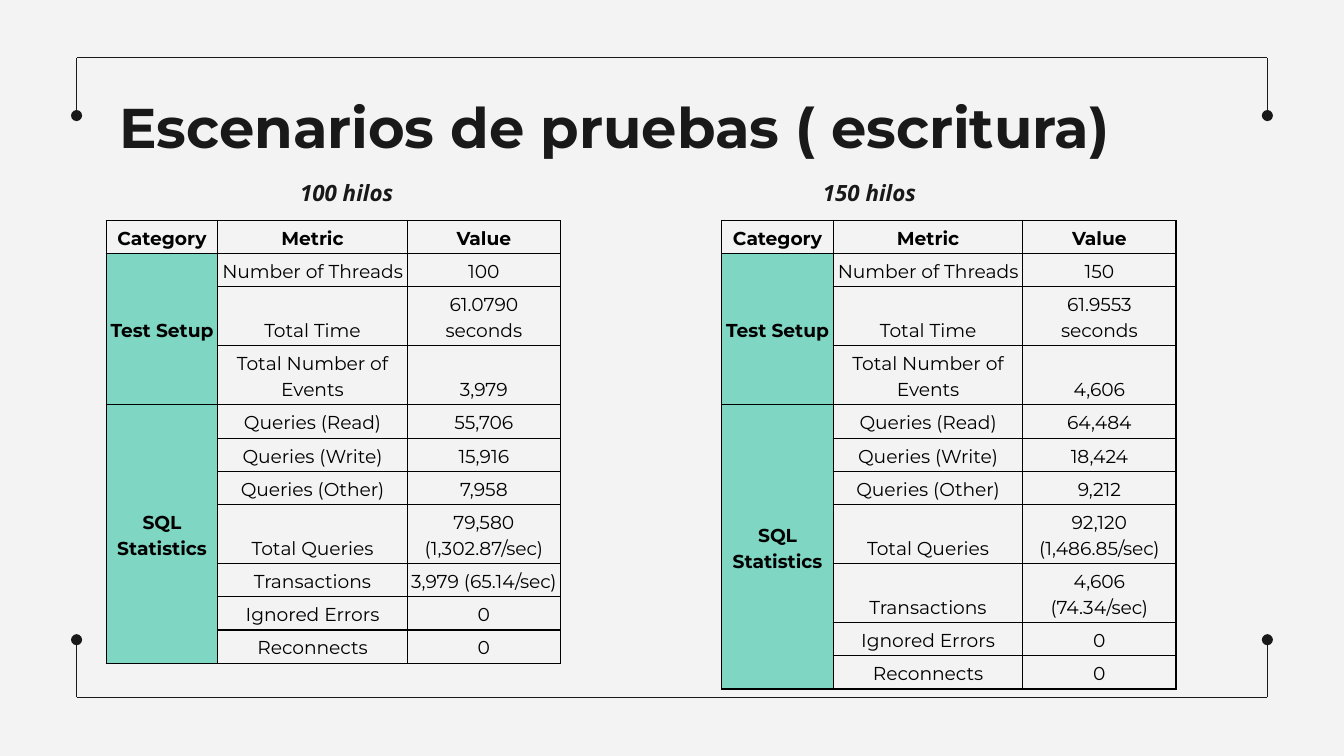
from dataclasses import dataclass

from lxml.etree import SubElement
from pptx import Presentation
from pptx.dml.color import RGBColor
from pptx.enum.shapes import MSO_CONNECTOR
from pptx.enum.text import MSO_ANCHOR, PP_ALIGN
from pptx.oxml.ns import qn
from pptx.util import Inches, Pt

INK = "191919"
BLACK = "000000"
MINT = "7FD6C3"
PAPER = "F3F3F3"
LINE_WIDTH = Pt(0.75)
PAGE_WIDTH = 10
PAGE_HEIGHT = PAGE_WIDTH * 9 / 16
MARGINS = ("margin_left", "margin_top", "margin_right", "margin_bottom")
BOX_MARGIN = 0.1
CELL_MARGIN = 2 / 72
COLUMN_WIDTHS = (0.83, 1.41, 1.14)
ROW_HEIGHT = 0.22
TABLE_TOP = 1.64
TABLE_HEIGHT = 3.28
HEADER = ("Category", "Metric", "Value")
METRICS = (
    "Number of Threads", "Total Time", "Total Number of Events",
    "Queries (Read)", "Queries (Write)", "Queries (Other)", "Total Queries",
    "Transactions", "Ignored Errors", "Reconnects",
)
CATEGORIES = (("Test Setup", 1, 3), ("SQL Statistics", 4, 10))

TITLE_FORMAT = {"name": "Montserrat", "size": Pt(30), "bold": True}
CAPTION_FORMAT = {"name": "Open Sans", "size": Pt(12), "bold": True, "italic": True}
CELL_FORMAT = {"name": "Montserrat", "size": Pt(10)}


@dataclass
class Scenario:
    caption: str
    caption_left: float
    table_left: float
    values: tuple[str, ...]


@dataclass
class FrameLine:
    start: tuple[float, float]
    end: tuple[float, float]
    dotted: bool = False


SCENARIOS = (
    Scenario("100 hilos", 1.95, 0.79, (
        "100", "61.0790 seconds", "3,979", "55,706", "15,916", "7,958",
        "79,580 (1,302.87/sec)", "3,979 (65.14/sec)", "0", "0")),
    Scenario("150 hilos", 5.84, 5.37, (
        "150", "61.9553 seconds", "4,606", "64,484", "18,424", "9,212",
        "92,120 (1,486.85/sec)", "4,606 (74.34/sec)", "0", "0")),
)

FRAME_LINES = [
    line
    for edge, dot in ((0.43, 0.86), (5.19, 4.76))
    for line in (
        FrameLine((0.57, edge), (9.43, edge)),
        FrameLine((0.57, edge), (0.57, dot), True),
        FrameLine((9.43, edge), (9.43, dot), True),
    )
]


def colour(value: str) -> RGBColor:
    return RGBColor.from_string(value)


def apply_format(target, values: dict) -> None:
    for name, value in values.items():
        setattr(target, name, value)


def write_text(para, text: str, ink: str, values: dict) -> None:
    span = para.add_run()
    span.text = text
    apply_format(span.font, values)
    span.font.color.rgb = colour(ink)


def draw_frame_line(page, line: FrameLine) -> None:
    connector = page.shapes.add_connector(
        MSO_CONNECTOR.STRAIGHT,
        *(Inches(length) for length in (*line.start, *line.end)))
    connector.line.color.rgb = colour(INK)
    connector.line.width = LINE_WIDTH
    if line.dotted:
        SubElement(connector.line._get_or_add_ln(), qn("a:tailEnd"), type="oval")
    SubElement(connector._element.spPr, qn("a:effectLst"))


def draw_text_box(page, place: tuple[float, ...], text: str,
                  values: dict, alignment: PP_ALIGN) -> None:
    box = page.shapes.add_textbox(*(Inches(length) for length in place))
    frame = box.text_frame
    apply_format(frame, {"word_wrap": True, **dict.fromkeys(MARGINS, Inches(BOX_MARGIN))})
    para = frame.paragraphs[0]
    para.alignment = alignment
    write_text(para, text, INK, values)


def add_borders(cell) -> None:
    properties = cell._tc.get_or_add_tcPr()
    for side in ("lnL", "lnR", "lnT", "lnB"):
        border = SubElement(properties, qn(f"a:{side}"), w=str(int(LINE_WIDTH)))
        fill = SubElement(border, qn("a:solidFill"))
        SubElement(fill, qn("a:srgbClr"), val=BLACK)


def style_cell(cell, filled: bool) -> None:
    apply_format(cell, dict.fromkeys(MARGINS, Inches(CELL_MARGIN)))
    cell.vertical_anchor = MSO_ANCHOR.MIDDLE if filled else MSO_ANCHOR.BOTTOM
    add_borders(cell)
    if filled:
        cell.fill.solid()
        cell.fill.fore_color.rgb = colour(MINT)
    else:
        cell.fill.background()


def write_cell(cell, text: str, bold: bool) -> None:
    para = cell.text_frame.paragraphs[0]
    apply_format(para, {"alignment": PP_ALIGN.CENTER, "line_spacing": 1.15})
    write_text(para, text, BLACK, {**CELL_FORMAT, "bold": bold})


def draw_results(page, scenario: Scenario) -> None:
    row_count = len(METRICS) + 1
    graphic = page.shapes.add_table(
        row_count, len(HEADER), Inches(scenario.table_left), Inches(TABLE_TOP),
        Inches(sum(COLUMN_WIDTHS)), Inches(TABLE_HEIGHT))
    table = graphic.table
    apply_format(table, {"first_row": False, "horz_banding": False})
    for column, width in zip(table.columns, COLUMN_WIDTHS):
        column.width = Inches(width)
    for row in table.rows:
        row.height = Inches(ROW_HEIGHT)
    graphic.height = Inches(TABLE_HEIGHT)

    for row in range(row_count):
        for column in range(len(HEADER)):
            style_cell(table.cell(row, column), filled=row > 0 and column == 0)
    for column, heading in enumerate(HEADER):
        write_cell(table.cell(0, column), heading, True)
    for row, pair in enumerate(zip(METRICS, scenario.values), start=1):
        for column, text in enumerate(pair, start=1):
            write_cell(table.cell(row, column), text, False)
    for category, first, last in CATEGORIES:
        table.cell(first, 0).merge(table.cell(last, 0))
        write_cell(table.cell(first, 0), category, True)


def main() -> None:
    deck = Presentation()
    apply_format(deck, {"slide_width": Inches(PAGE_WIDTH),
                        "slide_height": Inches(PAGE_HEIGHT)})
    page = deck.slides.add_slide(deck.slide_layouts[6])
    page.background.fill.solid()
    page.background.fill.fore_color.rgb = colour(PAPER)

    for line in FRAME_LINES:
        draw_frame_line(page, line)
    draw_text_box(page, (0.79, 0.59, 8.43, 1.27),
                  "Escenarios de pruebas ( escritura)", TITLE_FORMAT, PP_ALIGN.LEFT)
    for scenario in SCENARIOS:
        draw_results(page, scenario)
        draw_text_box(page, (scenario.caption_left, 1.23, 1.26, 0.4),
                      scenario.caption, CAPTION_FORMAT, PP_ALIGN.CENTER)
    deck.save("out.pptx")


if __name__ == "__main__":
    main()
